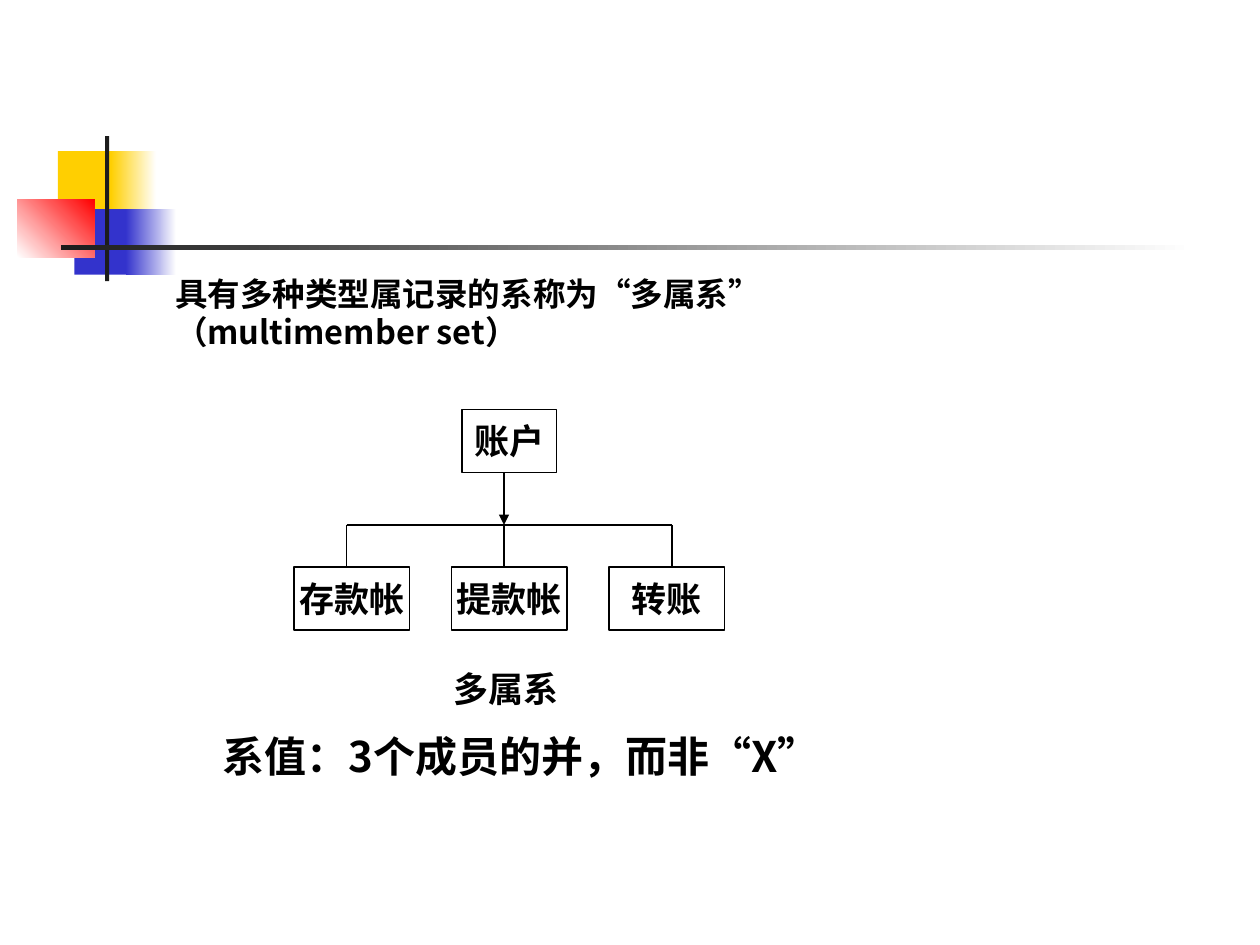
from dataclasses import dataclass

from lxml import etree
from pptx import Presentation
from pptx.dml.color import RGBColor
from pptx.enum import shapes, text
from pptx.oxml import ns
from pptx.util import Pt

FONT = "Noto Sans CJK SC"
BLACK, WHITE = "000000", "FFFFFF"
YELLOW, BLUE, RED, CHARCOAL = "FFCF01", "3333CC", "FF0000", "1C1C1C"


@dataclass
class Block:
    """A decorative rectangle; a second colour makes its fill a gradient."""
    left: float
    top: float
    width: float
    height: float
    color: str
    fade_to: str = ""
    angle: float = 0


@dataclass
class Record:
    label: str
    left: float
    top: float
    width: float


@dataclass
class Note:
    lines: list[str]
    left: float
    top: float
    width: float
    height: float
    size: float
    space_before: float
    line_spacing: float = 1
    hanging: int = 0
    grows: bool = True


DECORATION = [
    Block(33.1, 86.4, 34.6, 37.4, YELLOW),
    Block(63.4, 86.4, 25.9, 37.4, YELLOW, WHITE),
    Block(42.5, 119.5, 33.1, 37.4, BLUE),
    Block(72, 119.5, 28.8, 37.4, BLUE, WHITE),
    Block(10, 113.8, 44, 33.1, WHITE, RED, 45),
    Block(60, 77.8, 2.4, 82.8, CHARCOAL),
    Block(34.6, 140.2, 648, 2.4, CHARCOAL, WHITE),
]

NOTES = [
    Note(["具有多种类型属记录的系称为“多属系”", "（multimember set）"],
         93, 159, 612, 45.4, 18.6, 6, line_spacing=0.7, hanging=27, grows=False),
    Note(["多属系"], 252, 378, 102, 31.5, 20, 12.5),
    Note(["系值：3个成员的并，而非“X”"], 120, 414, 360, 65, 24, 15),
]

RECORD_HEIGHT = 36
OWNER = Record("账户", 264, 234, 54)
MEMBERS = [Record(label, 168 + 90 * i, 324, 66)
           for i, label in enumerate(["存款帐", "提款帐", "转账"])]
BRANCHES = [198, 288, 384]
TRUNK = BRANCHES[1]
BUS = 300


def rgb(hex_color: str) -> RGBColor:
    return RGBColor.from_string(hex_color)


def add_rect(slide, left: float, top: float, width: float, height: float):
    rect = slide.shapes.add_shape(shapes.MSO_SHAPE.RECTANGLE,
                                  Pt(left), Pt(top), Pt(width), Pt(height))
    rect.shadow.inherit = False
    return rect


def format_runs(paragraph, size: float) -> None:
    for run in paragraph.runs:
        run.font.size = Pt(size)
        run.font.bold = True
        run.font.color.rgb = rgb(BLACK)
        run.font.name = FONT
        east_asian = etree.SubElement(run.font._element, ns.qn("a:ea"))
        east_asian.set("typeface", FONT)


def draw_block(slide, block: Block) -> None:
    rect = add_rect(slide, block.left, block.top, block.width, block.height)
    rect.line.fill.background()
    if not block.fade_to:
        rect.fill.solid()
        rect.fill.fore_color.rgb = rgb(block.color)
        return
    rect.fill.gradient()
    rect.fill.gradient_angle = block.angle
    for stop, color in zip(rect.fill.gradient_stops, (block.color, block.fade_to)):
        stop.color.rgb = rgb(color)


def draw_note(slide, note: Note) -> None:
    box = slide.shapes.add_textbox(Pt(note.left), Pt(note.top),
                                   Pt(note.width), Pt(note.height))
    frame = box.text_frame
    frame.word_wrap = True
    if note.grows:
        frame.auto_size = text.MSO_AUTO_SIZE.SHAPE_TO_FIT_TEXT
    frame.text = "\n".join(note.lines)
    for paragraph in frame.paragraphs:
        paragraph.space_before = Pt(note.space_before)
        paragraph.line_spacing = note.line_spacing
        if note.hanging:
            properties = paragraph._p.get_or_add_pPr()
            properties.set("marL", str(Pt(note.hanging)))
            properties.set("indent", str(-Pt(note.hanging)))
        format_runs(paragraph, note.size)


def draw_record(slide, record: Record) -> None:
    rect = add_rect(slide, record.left, record.top, record.width, RECORD_HEIGHT)
    rect.fill.background()
    rect.line.color.rgb = rgb(BLACK)
    rect.line.width = Pt(0.75)
    frame = rect.text_frame
    frame.word_wrap = False
    frame.vertical_anchor = text.MSO_ANCHOR.MIDDLE
    frame.text = record.label
    paragraph = frame.paragraphs[0]
    paragraph.alignment = text.PP_ALIGN.CENTER
    format_runs(paragraph, 20)


def draw_link(slide, x1: float, y1: float, x2: float, y2: float,
              arrow: bool = False) -> None:
    link = slide.shapes.add_connector(shapes.MSO_CONNECTOR.STRAIGHT,
                                      Pt(x1), Pt(y1), Pt(x2), Pt(y2))
    link.line.color.rgb = rgb(BLACK)
    link.line.width = Pt(0.75)
    if arrow:
        head = etree.SubElement(link.line._get_or_add_ln(), ns.qn("a:tailEnd"))
        head.set("type", "triangle")
    etree.SubElement(link._element.spPr, ns.qn("a:effectLst"))


def main() -> None:
    deck = Presentation()
    deck.slide_width, deck.slide_height = Pt(720), Pt(540)
    slide = deck.slides.add_slide(deck.slide_layouts[6])

    for block in DECORATION:
        draw_block(slide, block)
    for note in NOTES:
        draw_note(slide, note)
    for record in [OWNER, *MEMBERS]:
        draw_record(slide, record)

    draw_link(slide, BRANCHES[0], BUS, BRANCHES[-1], BUS)
    for x in BRANCHES:
        draw_link(slide, x, BUS, x, MEMBERS[0].top)
    draw_link(slide, TRUNK, OWNER.top + RECORD_HEIGHT, TRUNK, BUS, arrow=True)

    deck.save("out.pptx")


if __name__ == "__main__":
    main()
